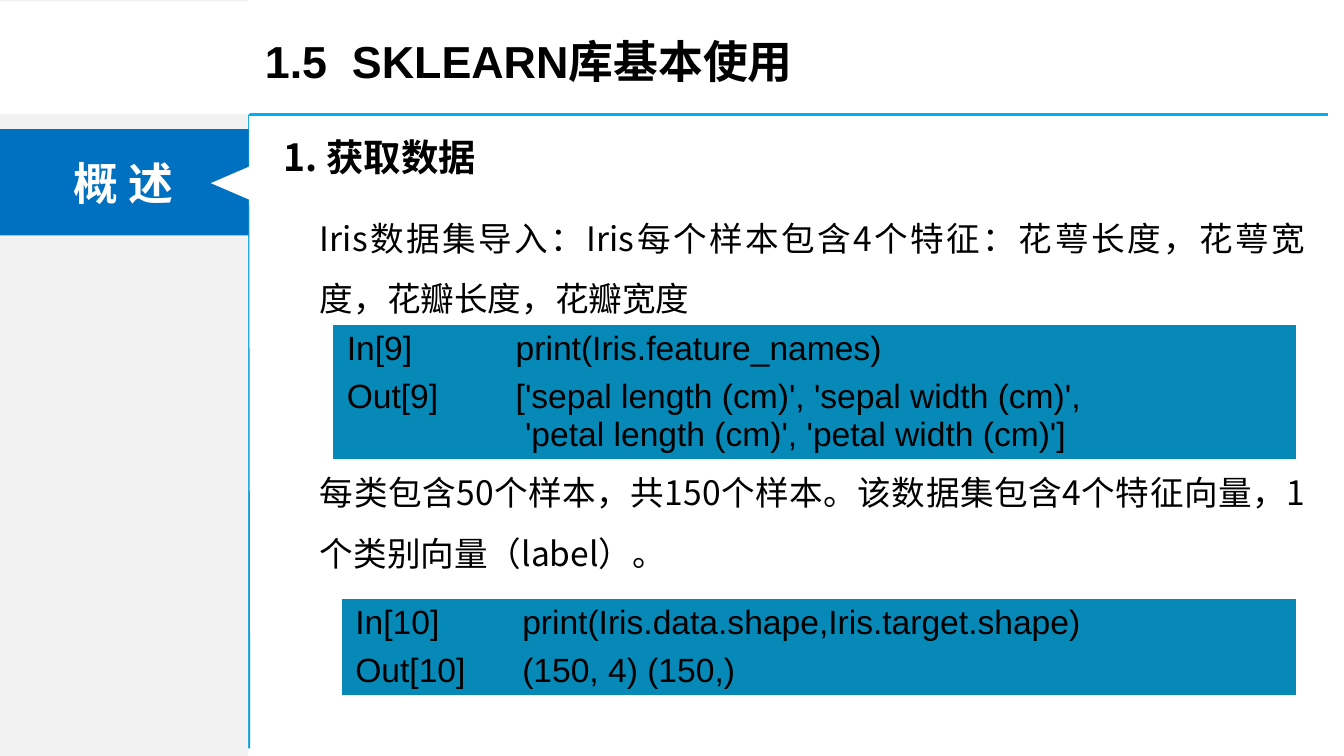
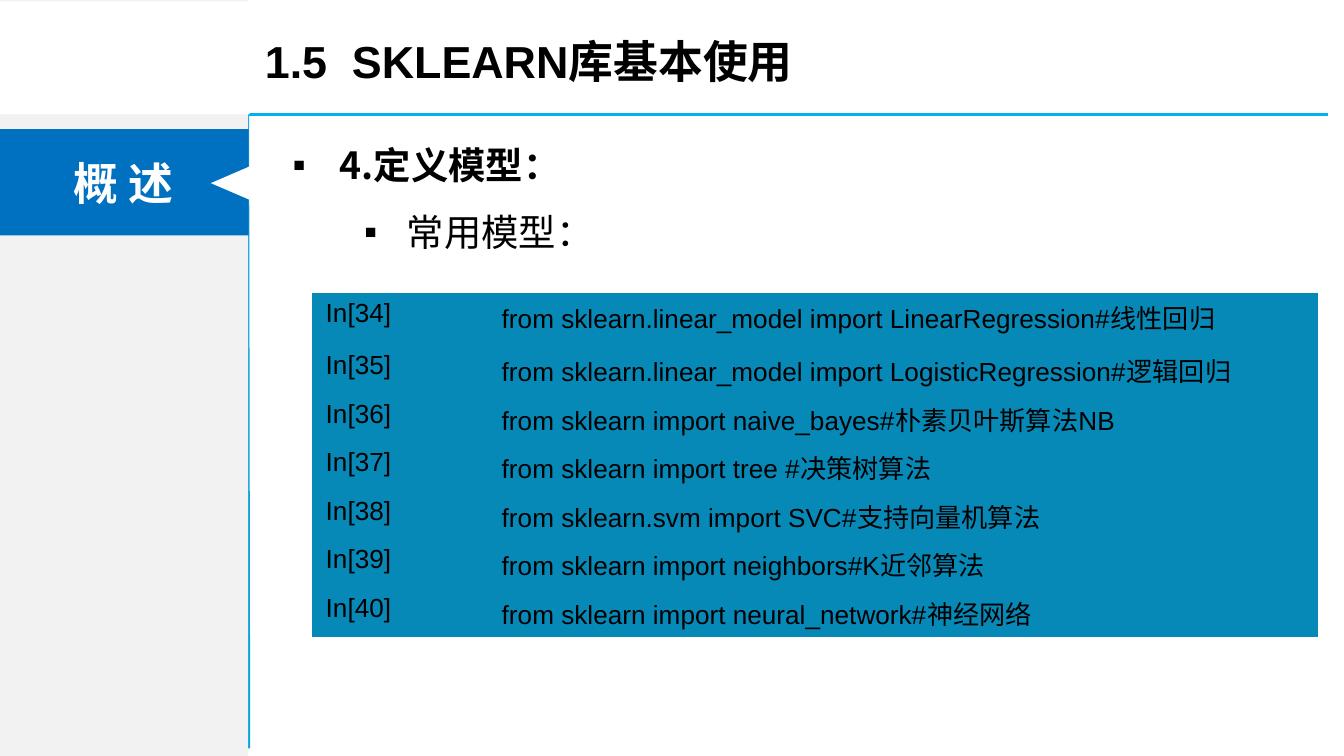
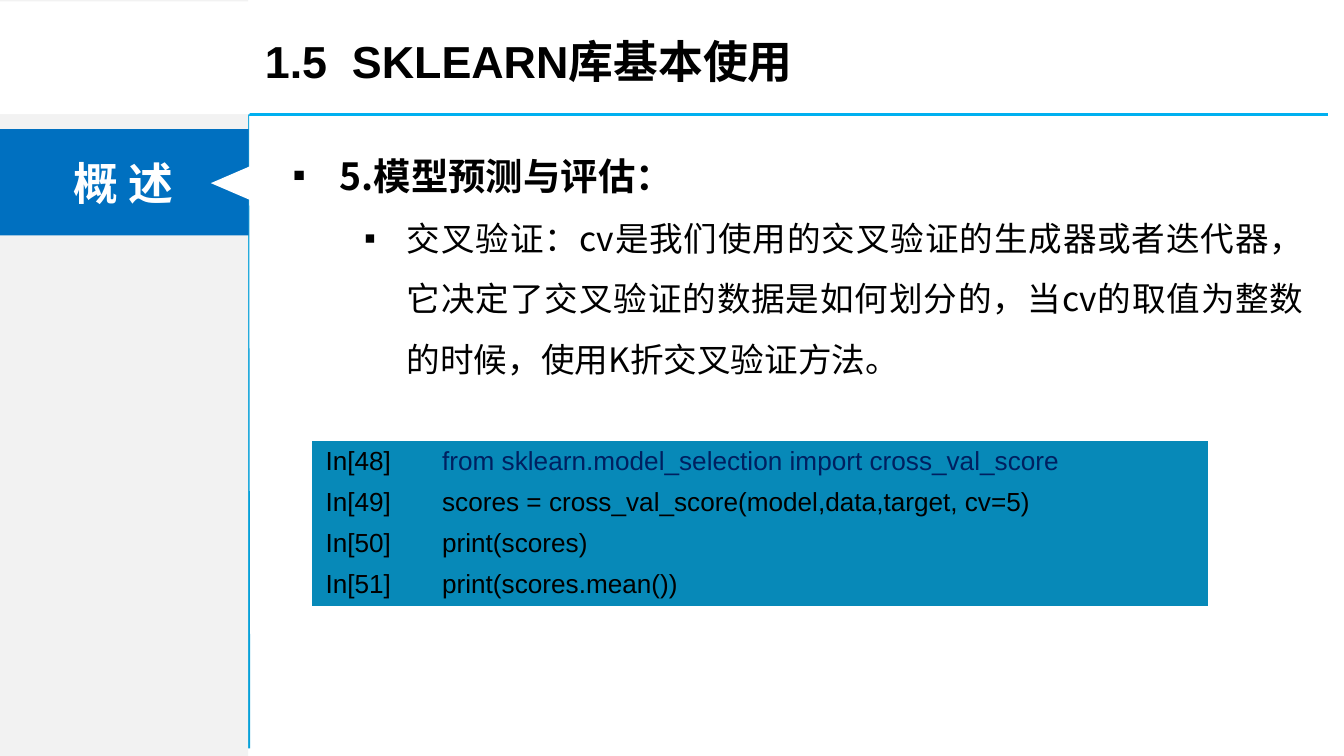
from pptx import Presentation
from pptx.dml.color import RGBColor
from pptx.enum.shapes import MSO_CONNECTOR, MSO_SHAPE
from pptx.enum.text import MSO_ANCHOR, MSO_AUTO_SIZE, PP_ALIGN
from pptx.oxml.ns import qn
from pptx.util import Pt
from lxml import etree

RECT, TRI = MSO_SHAPE.RECTANGLE, MSO_SHAPE.ISOSCELES_TRIANGLE
LINE = MSO_CONNECTOR.STRAIGHT
TOP, MID = MSO_ANCHOR.TOP, MSO_ANCHOR.MIDDLE
LEFT, MIDDLE, FULL = PP_ALIGN.LEFT, PP_ALIGN.CENTER, PP_ALIGN.JUSTIFY
NO_FIT = MSO_AUTO_SIZE.NONE

SANS, CODE = "Noto Sans CJK SC", "Arial"
BLACK, WHITE, GREY = "000000", "FFFFFF", "F2F2F2"
BLUE, SKY, TEAL = "0070C0", "00B0F0", "08A1D9"
CELL, NAVY = "0789B8", "002060"
NO_GRID = "{2D5ABB26-0587-4C30-8999-92F81FD0307C}"
TITLE = "1.5  SKLEARN库基本使用"
# Left margin and hanging indent of each bullet level
HANG = {1: (35.7, -25.2), 2: (71.7, -22.8)}


def rgb(code):
    return RGBColor.from_string(code)


def write(par, text, size, face=SANS, color=BLACK, bold=False):
    run = par.add_run()
    run.text = text
    font = run.font
    font.size, font.name, font.bold = Pt(size), face, bold
    font.color.rgb = rgb(color)
    east = etree.Element(qn("a:ea"), typeface=SANS)
    font_xml = run._r.get_or_add_rPr()
    font_xml.find(qn("a:latin")).addnext(east)


def mark(par, level, dot):
    """Set the level, with a square bullet or with none."""
    par.level = level
    props = par._p.get_or_add_pPr()
    left, hang = HANG[level] if dot else (0, 0)
    props.set("marL", str(Pt(left)))
    props.set("indent", str(Pt(hang)))
    props.set("hangingPunct", "0")
    if dot:
        tint = etree.SubElement(props, qn("a:buClr"))
        etree.SubElement(tint, qn("a:srgbClr"), val=BLACK)
        etree.SubElement(props, qn("a:buFont"), typeface=CODE)
        etree.SubElement(props, qn("a:buChar"), char="▪")
    else:
        etree.SubElement(props, qn("a:buNone"))


def move(shape, box):
    shape.left, shape.top, shape.width, shape.height = map(Pt, box)


def setup(frame):
    frame.word_wrap = True
    frame.auto_size = NO_FIT
    frame.vertical_anchor = TOP
    frame.margin_left = frame.margin_right = Pt(7.2)
    frame.margin_top = frame.margin_bottom = Pt(3.6)
    return frame


# Shared frame: side bar, rules and section tab
def block(slide, kind, box, color):
    shape = slide.shapes.add_shape(kind, *map(Pt, box))
    shape.shadow.inherit = False
    shape.fill.solid()
    shape.fill.fore_color.rgb = rgb(color)
    shape.line.fill.background()
    return shape


def rule(slide, ends, color):
    line = slide.shapes.add_connector(LINE, *map(Pt, ends))
    line.line.color.rgb = rgb(color)
    line.line.width = Pt(1.5)
    etree.SubElement(line.element.spPr, qn("a:effectLst"))
    return line


def tab(slide, box):
    x, y, w, h = box
    base = block(slide, RECT, box, BLUE)
    base.text_frame.vertical_anchor = MID
    par = base.text_frame.paragraphs[0]
    par.alignment = MIDDLE
    write(par, "概 述", 24, color=WHITE, bold=True)
    notch = block(slide, TRI, (x + w - 18.7, y + h / 2 - 10.3, 18.5, 21.5), WHITE)
    notch.rotation = 270
    return [base, notch]


def share(slide, box):
    """Draw the common parts and hand them to the layout."""
    x, y, w, h = box
    parts = [
        rule(slide, (x + w - 0.3, y + 61.3, x + w + 0.3, y + h - 4), TEAL),
        block(slide, RECT, box, GREY),
        rule(slide, (x + w + 0.3, y + 61.3, 711.4, y + 61.3), SKY),
        block(slide, RECT, (x, y + 0.7, w + 0.8, 60.5), WHITE),
        *tab(slide, (x - 0.7, y + 69.2, w + 0.9, 56.9)),
    ]
    tree = slide.slide_layout.shapes.element
    for part in parts:
        tree.append(part.element)


# Title, heading and body
def head(slide, box):
    move(slide.shapes.title, box)
    par = setup(slide.shapes.title.text_frame).paragraphs[0]
    par.alignment, par.line_spacing = LEFT, 1.5
    write(par, TITLE, 24, CODE, bold=True)


def topic(slide, box, text):
    frame = slide.shapes.add_textbox(*map(Pt, box)).text_frame
    write(setup(frame).paragraphs[0], text, 20, bold=True)


def body(slide, box, items, align=FULL):
    """Each item: text, level, size, bold, bullet, space before."""
    shape = slide.placeholders[1]
    move(shape, box)
    frame = setup(shape.text_frame)
    for i, (text, level, size, bold, dot, gap) in enumerate(items):
        par = frame.add_paragraph() if i else frame.paragraphs[0]
        mark(par, level, dot)
        par.alignment, par.line_spacing = align, 1.5
        par.space_before = Pt(gap)
        write(par, text, size, bold=bold)


# Code table: label column and code column
def code(slide, spot, cols, highs, rows, size, tints=None):
    tints = tints or {}
    shape = slide.shapes.add_table(
        len(rows), 2, *map(Pt, (*spot, sum(cols), sum(highs))))
    for style in shape.element.iter(qn("a:tableStyleId")):
        style.text = NO_GRID
    table = shape.table
    table.first_row = table.horz_banding = False
    for col, wide in zip(table.columns, cols):
        col.width = Pt(wide)
    for r, (row, high) in enumerate(zip(rows, highs)):
        table.rows[r].height = Pt(high)
        for c, text in enumerate(row):
            cell = table.cell(r, c)
            cell.fill.solid()
            cell.fill.fore_color.rgb = rgb(CELL)
            cell.margin_left = cell.margin_right = Pt(7.2)
            cell.margin_top = cell.margin_bottom = Pt(2.7)
            frame = cell.text_frame
            for i, line in enumerate(text.split("\n")):
                par = frame.add_paragraph() if i else frame.paragraphs[0]
                write(par, line, size, CODE, tints.get((r, c), BLACK))


# Slides
def load(slide):
    topic(slide, (140.4, 68.4, 565.2, 37.4), " 1. 获取数据")
    body(slide, (164.2, 102.2, 542.2, 218.9), [
        ("Iris数据集导入：Iris每个样本包含4个特征：花萼长度，花萼宽度，花瓣长度，花瓣宽度",
         1, 18, False, False, 0),
        ("每类包含50个样本，共150个样本。该数据集包含4个特征向量，1个类别向量（label）。",
         1, 18, False, False, 71.5),
    ])
    code(slide, (178.6, 174.2), (90.5, 425.3), (25.8, 45.2), [
        ("In[9]", "print(Iris.feature_names)"),
        ("Out[9]", "['sepal length (cm)', 'sepal width (cm)',\n"
                   " 'petal length (cm)', 'petal width (cm)']"),
    ], 18)
    code(slide, (183.2, 321.1), (89.4, 421.8), (25.7, 25.7), [
        ("In[10]", "print(Iris.data.shape,Iris.target.shape)"),
        ("Out[10]", "(150, 4) (150,)"),
    ], 18)


def model(slide):
    body(slide, (139, 60.5, 578.2, 118.8), [
        ("4.定义模型：", 1, 20, True, True, 0),
        ("常用模型：", 2, 20, False, True, 0),
    ], LEFT)
    lines = [
        "from sklearn.linear_model import LinearRegression#线性回归",
        "from sklearn.linear_model import LogisticRegression#逻辑回归",
        "from sklearn import naive_bayes#朴素贝叶斯算法NB",
        "from sklearn import tree #决策树算法",
        "from sklearn.svm import SVC#支持向量机算法",
        "from sklearn import neighbors#K近邻算法",
        "from sklearn import neural_network#神经网络",
    ]
    rows = [(f"In[{n}]", line) for n, line in enumerate(lines, 34)]
    code(slide, (167.3, 157.1), (94.3, 444.3), [28.3] + [26] * 6, rows, 14)


def score(slide):
    body(slide, (139, 66.2, 566.6, 153.4), [
        ("5.模型预测与评估：", 1, 20, True, True, 0),
        ("交叉验证：cv是我们使用的交叉验证的生成器或者迭代器，它决定了交叉验证的数据是如何划分的，"
         "当cv的取值为整数的时候，使用K折交叉验证方法。", 2, 18, False, True, 0),
    ])
    lines = [
        "from sklearn.model_selection import cross_val_score",
        "scores = cross_val_score(model,data,target, cv=5)",
        "print(scores)",
        "print(scores.mean())",
    ]
    rows = [(f"In[{n}]", line) for n, line in enumerate(lines, 48)]
    code(slide, (167.2, 236.4), (62.5, 417.6), [22.4] + [22] * 3, rows, 14,
         {(0, 1): NAVY})


def main():
    deck = Presentation()
    deck.slide_width, deck.slide_height = Pt(720), Pt(405)
    layout = deck.slide_layouts[1]
    for i, fill in enumerate((load, model, score)):
        slide = deck.slides.add_slide(layout)
        if i == 0:
            share(slide, (0, 0, 133, 405))
        head(slide, (134.7, 0, 587.5, 60.5))
        fill(slide)
    deck.save("out.pptx")


if __name__ == "__main__":
    main()
